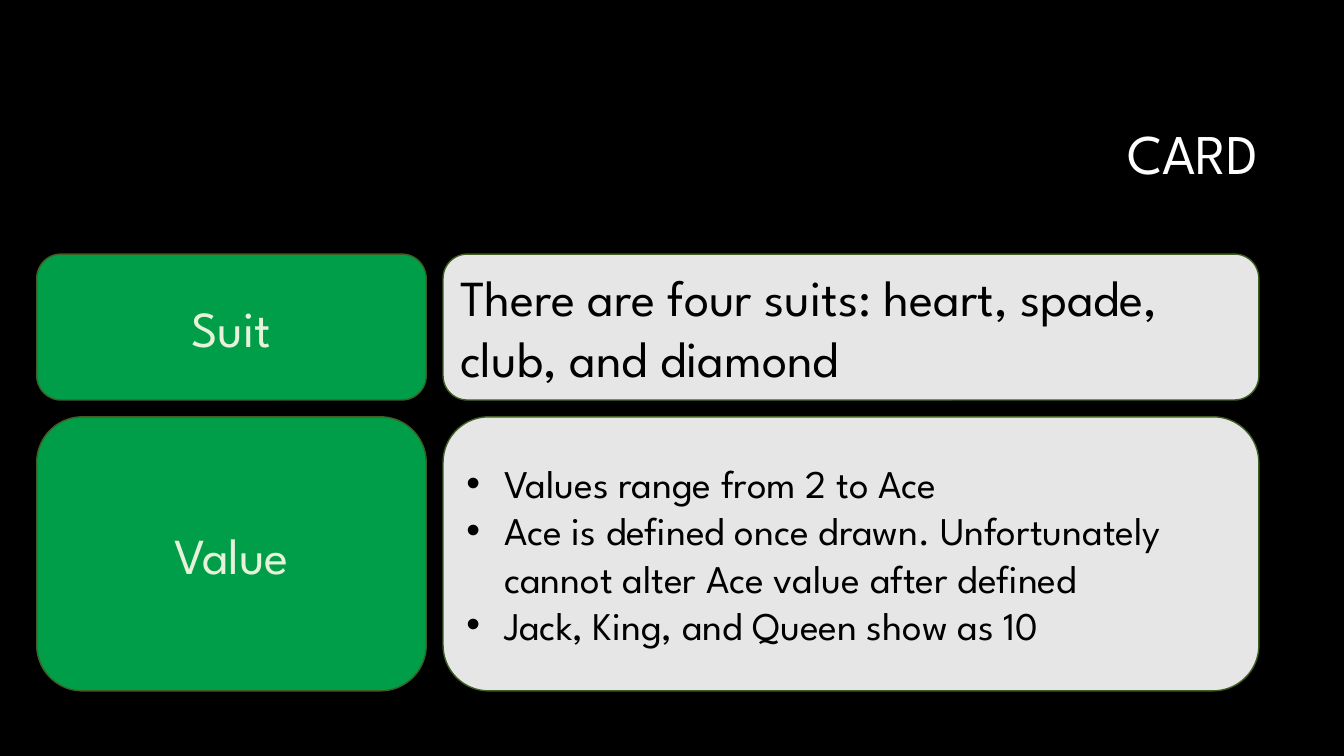
from pptx import Presentation
from pptx.dml.color import RGBColor
from pptx.enum.shapes import MSO_SHAPE
from pptx.enum.text import MSO_ANCHOR, PP_ALIGN
from pptx.oxml.ns import qn
from pptx.util import Pt
from lxml import etree

PX = 9525
FONT = "League Spartan"
BLACK = RGBColor(0x00, 0x00, 0x00)
WHITE = RGBColor(0xFF, 0xFF, 0xFF)
GREEN = RGBColor(0x00, 0xB0, 0x50)
OLIVE = RGBColor(0x40, 0x5E, 0x21)
MINT = RGBColor(0xE6, 0xF2, 0xD9)
ROUND = MSO_SHAPE.ROUNDED_RECTANGLE
MIDDLE = MSO_ANCHOR.MIDDLE
LEFT, CENTER, RIGHT = PP_ALIGN.LEFT, PP_ALIGN.CENTER, PP_ALIGN.RIGHT

GAP = 16
TOP = 242
LABEL_X, LABEL_W = 35, 371
BODY_X, BODY_W = LABEL_X + LABEL_W + GAP, 777
INDENT = 36
ROWS = [
    ("Suit", 139, 36, ["There are four suits: heart, spade, club, and diamond"]),
    ("Value", 261, 28, [
        "Values range from 2 to Ace",
        "Ace is defined once drawn. Unfortunately cannot alter Ace value after defined",
        "Jack, King, and Queen show as 10",
    ]),
]


def style(para, size, color, align):
    para.alignment = align
    for run in para.runs:
        run.font.name = FONT
        run.font.size = Pt(size)
        run.font.color.rgb = color


def add_bullet(para):
    props = para._p.get_or_add_pPr()
    props.set("marL", str(INDENT * PX))
    props.set("indent", str(-INDENT * PX))
    etree.SubElement(props, qn("a:buFont")).set("typeface", "Arial")
    etree.SubElement(props, qn("a:buChar")).set("char", "•")


def fade(shape, share):
    """Set the opacity of a solid fill, in percent."""
    color = shape._element.spPr.find(qn("a:solidFill"))[0]
    etree.SubElement(color, qn("a:alpha")).set("val", str(share * 1000))


def add_card(slide, box, fill, lines, size, color, align):
    card = slide.shapes.add_shape(ROUND, *(n * PX for n in box))
    card.shadow.inherit = False
    card.fill.solid()
    card.fill.fore_color.rgb = fill
    fade(card, 90)
    card.line.color.rgb = OLIVE
    card.line.width = Pt(1)
    frame = card.text_frame
    frame.word_wrap = True
    frame.vertical_anchor = MIDDLE
    frame.text = "\n".join(lines)
    for para in frame.paragraphs:
        if len(lines) > 1:
            add_bullet(para)
        style(para, size, color, align)


def set_title(slide, text):
    title = slide.shapes.title
    title.left, title.top = 304 * PX, 81 * PX
    title.width, title.height = 904 * PX, 135 * PX
    frame = title.text_frame
    frame.text = text
    frame.word_wrap = True
    frame.vertical_anchor = MIDDLE
    para = frame.paragraphs[0]
    para.line_spacing = 0.9
    style(para, 40, WHITE, RIGHT)


def main():
    deck = Presentation()
    deck.slide_width, deck.slide_height = 1280 * PX, 720 * PX
    slide = deck.slides.add_slide(deck.slide_layouts[5])
    slide.background.fill.solid()
    slide.background.fill.fore_color.rgb = BLACK
    set_title(slide, "CARD")
    top = TOP
    for label, height, size, lines in ROWS:
        add_card(slide, (LABEL_X, top, LABEL_W, height), GREEN,
                 [label], 36, MINT, CENTER)
        add_card(slide, (BODY_X, top, BODY_W, height), WHITE,
                 lines, size, BLACK, LEFT)
        top += height + GAP
    deck.save("out.pptx")


if __name__ == "__main__":
    main()
